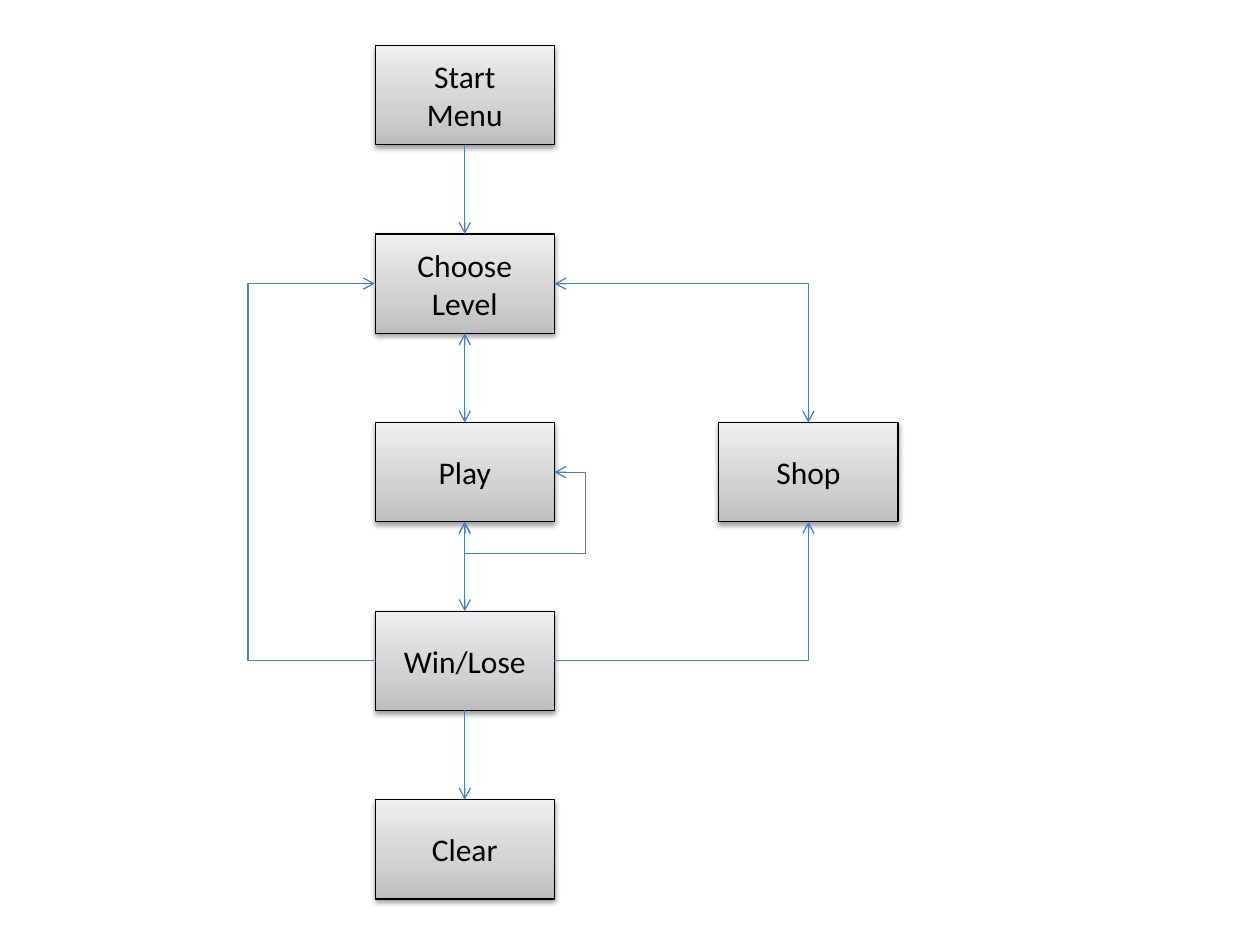
import copy

import pptx
import pptx.dml.color
import pptx.enum.dml
import pptx.enum.shapes
import pptx.enum.text
import pptx.oxml
import pptx.oxml.ns
import pptx.util

Pt = pptx.util.Pt
RGBColor = pptx.dml.color.RGBColor
CONNECTOR = pptx.enum.shapes.MSO_CONNECTOR

BLACK = RGBColor(0x00, 0x00, 0x00)
BLUE = RGBColor(0x4B, 0x7E, 0xBC)
GRADIENT = [
    (0, RGBColor(0xBD, 0xBD, 0xBD)),
    (0.35, RGBColor(0xD1, 0xD1, 0xD1)),
    (1, RGBColor(0xEE, 0xEE, 0xEE)),
]
TOP, LEFT, BOTTOM, RIGHT = range(4)
BOX_WIDTH, BOX_HEIGHT = 102.4, 56.7
LOOP_GAP = 18
RETURN_REACH, RETURN_WIDTH = 80, 0.125
SHADOW = (
    '<a:outerShdw %s blurRad="%d" dist="%d" dir="5400000" rotWithShape="0">'
    '<a:srgbClr val="000000"><a:alpha val="38000"/></a:srgbClr></a:outerShdw>'
    % (pptx.oxml.ns.nsdecls("a"), Pt(3.1), Pt(1.6))
)


def set_attributes(target, values):
    for name, value in values.items():
        setattr(target, name, value)


def fill_with_gradient(fill):
    fill.gradient()
    fill.gradient_angle = 90
    first_stop = fill.gradient_stops[0]._gs
    first_stop.addnext(copy.deepcopy(first_stop))
    for stop, (position, color) in zip(fill.gradient_stops, GRADIENT):
        stop.position = position
        stop.color.rgb = color


def add_box(slide, text, left, top):
    shape = slide.shapes.add_shape(
        pptx.enum.shapes.MSO_SHAPE.RECTANGLE,
        Pt(left), Pt(top), Pt(BOX_WIDTH), Pt(BOX_HEIGHT),
    )
    fill_with_gradient(shape.fill)
    shape.line.color.rgb = BLACK
    shape.line.width = Pt(0.75)
    shape.shadow.inherit = False
    effects = shape._element.spPr.find(pptx.oxml.ns.qn("a:effectLst"))
    effects.append(pptx.oxml.parse_xml(SHADOW))
    frame = shape.text_frame
    frame.text = text
    set_attributes(frame, {
        "word_wrap": True,
        "vertical_anchor": pptx.enum.text.MSO_ANCHOR.MIDDLE,
    })
    for paragraph in frame.paragraphs:
        paragraph.alignment = pptx.enum.text.PP_ALIGN.CENTER
        set_attributes(paragraph.runs[0].font, {"name": "Calibri", "size": Pt(18)})
        paragraph.runs[0].font.color.rgb = BLACK
    return shape


def add_arrow(slide, start, end, kind=CONNECTOR.STRAIGHT, both_ways=False):
    """Join two (shape, side) pairs, with an arrowhead at the end or at both ends."""
    connector = slide.shapes.add_connector(kind, 0, 0, 0, 0)
    connector.begin_connect(*start)
    connector.end_connect(*end)
    connector.line.color.rgb = BLUE
    connector.line.width = Pt(0.75)
    line = connector.line._get_or_add_ln()
    for tag in ["headEnd", "tailEnd"] if both_ways else ["tailEnd"]:
        line.append(pptx.oxml.parse_xml(
            '<a:%s %s type="arrow"/>' % (tag, pptx.oxml.ns.nsdecls("a"))))
    connector._element.spPr.append(pptx.oxml.parse_xml(
        "<a:effectLst %s/>" % pptx.oxml.ns.nsdecls("a")))
    return connector


def add_elbow(slide, start, end, preset, both_ways=False):
    connector = add_arrow(slide, start, end, CONNECTOR.ELBOW, both_ways)
    connector._element.spPr.find(pptx.oxml.ns.qn("a:prstGeom")).set("prst", preset)
    return connector


def set_bends(connector, *ratios):
    """Place the bends, each as a share of the connector's width or height."""
    geometry = connector._element.spPr.find(pptx.oxml.ns.qn("a:prstGeom"))
    guides = geometry.find(pptx.oxml.ns.qn("a:avLst"))
    for number, ratio in enumerate(ratios, 1):
        name = "adj%d" % number
        guides.append(pptx.oxml.parse_xml(
            '<a:gd %s name="%s" fmla="val %d"/>'
            % (pptx.oxml.ns.nsdecls("a"), name, round(ratio * 100000))))


def add_game_flow(slide, left, top, pitch, shop_left):
    labels = ["Start\nMenu", "Choose Level", "Play", "Win/Lose", "Clear"]
    start, choose, play, result, clear = [
        add_box(slide, label, left, top + row * pitch)
        for row, label in enumerate(labels)
    ]
    shop = add_box(slide, "Shop", shop_left, top + 2 * pitch)

    for upper, lower, both_ways in [
        (start, choose, False), (result, clear, False),
        (choose, play, True), (play, result, True),
    ]:
        add_arrow(slide, (upper, BOTTOM), (lower, TOP), both_ways=both_ways)

    add_elbow(slide, (result, RIGHT), (shop, BOTTOM), "bentConnector2")
    add_elbow(slide, (choose, RIGHT), (shop, TOP), "bentConnector2", True)

    back = add_elbow(slide, (result, LEFT), (choose, LEFT), "bentConnector3")
    back.end_x = back.begin_x - Pt(RETURN_WIDTH)
    set_bends(back, RETURN_REACH / RETURN_WIDTH)

    replay = add_elbow(slide, (play, RIGHT), (play, BOTTOM), "bentConnector4", True)
    set_bends(replay, -LOOP_GAP / (BOX_WIDTH / 2), 1 + LOOP_GAP / (BOX_HEIGHT / 2))


def main():
    presentation = pptx.Presentation()
    set_attributes(presentation, {"slide_width": Pt(720), "slide_height": Pt(540)})
    slide = presentation.slides.add_slide(presentation.slide_layouts[6])
    add_game_flow(slide, left=214.4, top=26, pitch=107.75, shop_left=410.8)
    presentation.save("out.pptx")


if __name__ == "__main__":
    main()
